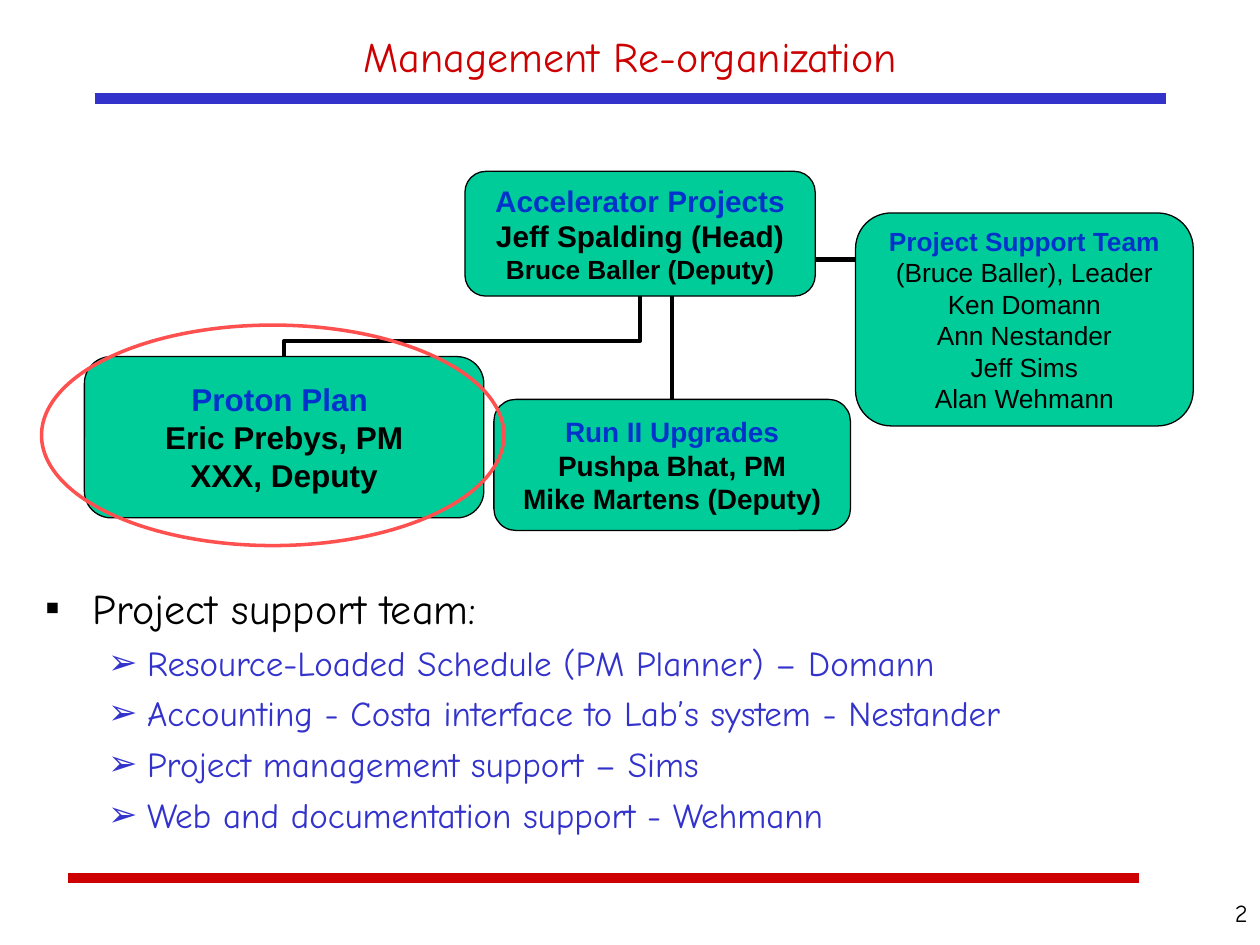
from dataclasses import dataclass

from lxml import etree
from pptx import Presentation
from pptx.dml.color import RGBColor
from pptx.enum import shapes as sh, text as tx
from pptx.oxml import ns
from pptx.util import Inches, Pt


@dataclass(frozen=True)
class Theme:
    red: str = "CC0000"
    blue: str = "3333CC"
    heading: str = "0033CC"
    green: str = "00CC99"
    ring: str = "FF5050"
    black: str = "000000"
    display: str = "Comic Neue"
    body: str = "Arial"
    title: int = 24
    item: int = 20
    number: int = 14


T = Theme()
CENTER, RIGHT = tx.PP_ALIGN.CENTER, tx.PP_ALIGN.RIGHT


def rgb(value):
    return RGBColor.from_string(value)


def sub(parent, tag, **attrs):
    return etree.SubElement(parent, ns.qn(tag), attrs)


def write(p, text, size, color, font=T.display, bold=False, align=None):
    """Fill one paragraph with one formatted run."""
    p.alignment = align
    r = p.add_run()
    r.text = text
    r.font.name, r.font.size, r.font.bold = font, Pt(size), bold
    r.font.color.rgb = rgb(color)


def paragraphs(tf, count):
    """Return the first paragraph followed by as many new ones as needed."""
    return [tf.paragraphs[0]] + [tf.add_paragraph() for _ in range(count - 1)]


def text_box(s, box):
    tf = s.shapes.add_textbox(*map(Inches, box)).text_frame
    tf.word_wrap = True
    return tf


def connector(s, start, end, width, color=T.black, kind=sh.MSO_CONNECTOR.STRAIGHT):
    c = s.shapes.add_connector(kind, *map(Inches, start + end))
    c.line.color.rgb, c.line.width = rgb(color), Pt(width)
    sub(c._element.spPr, "a:effectLst")
    return c


def elbow_up(s, start, end, bend, width):
    """Connector that leaves upward, runs sideways, then goes up to its end."""
    (x1, y1), (x2, y2) = start, end
    mx, my = (x1 + x2) / 2, (y1 + y2) / 2
    hw, hh = (y1 - y2) / 2, (x2 - x1) / 2
    # Drawn sideways, then turned a quarter around its centre
    c = connector(s, (mx + hw, my + hh), (mx - hw, my - hh), width,
                  kind=sh.MSO_CONNECTOR.ELBOW)
    spPr = c._element.spPr
    spPr.find(ns.qn("a:xfrm")).set("rot", str(90 * 60000))
    geom = spPr.find(ns.qn("a:prstGeom"))
    guides = geom.find(ns.qn("a:avLst"))
    if guides is None:
        guides = sub(geom, "a:avLst")
    sub(guides, "a:gd", name="adj1", fmla=f"val {round(bend * 100000)}")


def outline_shape(s, kind, box, line, width):
    shape = s.shapes.add_shape(kind, *map(Inches, box))
    shape.shadow.inherit = False
    shape.line.color.rgb, shape.line.width = rgb(line), Pt(width)
    shape.fill.background()
    return shape


def org_box(s, box, lines, sizes, bold=True):
    """Rounded box with a blue heading over black names."""
    shape = outline_shape(s, sh.MSO_SHAPE.ROUNDED_RECTANGLE, box, T.black, 0.75)
    shape.fill.solid()
    shape.fill.fore_color.rgb = rgb(T.green)
    tf = shape.text_frame
    tf.word_wrap = False
    tf.vertical_anchor = tx.MSO_ANCHOR.MIDDLE
    tf.margin_left = tf.margin_right = Inches(0.08)
    tf.margin_top = tf.margin_bottom = Inches(0.04)
    for i, p in enumerate(paragraphs(tf, len(lines))):
        write(p, lines[i], sizes[i], T.black if i else T.heading, T.body,
              bold or i == 0, CENTER)
    return shape


def frame(s, box):
    """Title, the two rules and the page number."""
    x, y, w, h = box
    rule = 8.5
    for dx, dy, color in ((0.54, 6.97, T.red), (0.75, 0.78, T.blue)):
        connector(s, (x + dx, y + dy), (x + dx + rule, y + dy), 6, color)
    tf = text_box(s, (x + 0.75, y + 0.15, rule, 0.58))
    tf.vertical_anchor = tx.MSO_ANCHOR.MIDDLE
    write(tf.paragraphs[0], "Management Re-organization", T.title, T.red, align=CENTER)
    tf = text_box(s, (x + w - 0.92, y + h - 0.42, 0.92, 0.42))
    write(tf.paragraphs[0], "2", T.number, T.black, align=RIGHT)


def org_chart(s, box):
    """Four boxes, the lines between them and the ring around the plan."""
    x, y = box[:2]
    head = (x + 3.02, y, 2.78, 0.99)
    plan = (x, y + 1.47, 3.17, 1.28)
    run = (x + 3.25, y + 1.81, 2.83, 1.04)
    support = (x + 6.12, y + 0.33, 2.68, 1.69)

    def top(b):
        return b[0] + b[2] / 2, b[1]

    head_bottom = head[1] + head[3]

    # Lines lie behind the boxes
    run_line = connector(s, top(run), (top(run)[0], head_bottom), 2.25)
    elbow_up(s, top(plan), (top(head)[0], head_bottom), 0.26, 2.25)

    org_box(s, head, ["Accelerator Projects", "Jeff Spalding (Head)",
                      "Bruce Baller (Deputy)"], [17, 17, 15])
    org_box(s, plan, ["Proton Plan ", "Eric Prebys, PM", "XXX, Deputy"], [18] * 3)
    run_box = org_box(s, run, ["Run II Upgrades", "Pushpa Bhat, PM",
                               "Mike Martens (Deputy)"], [16] * 3)
    run_line.begin_connect(run_box, 0)
    org_box(s, support, ["Project Support Team", "(Bruce Baller), Leader",
                         "Ken Domann", "Ann Nestander", "Jeff Sims",
                         "Alan Wehmann"], [15] * 6, bold=False)
    connector(s, (head[0] + head[2], y + 0.7), (support[0], y + 0.7), 3)


def bullet_list(s, box):
    """Support team duties: one heading and its sub-items."""
    items = ["Project support team:",
             "Resource-Loaded Schedule (PM Planner) – Domann",
             "Accounting - Costa interface to Lab’s system - Nestander",
             "Project management support – Sims",
             "Web and documentation support - Wehmann"]
    heading = ("▪", T.black, T.title, 0.38, 0.38)
    item = ("➢", T.blue, T.item, 0.81, 0.31)
    tf = text_box(s, box)
    for i, p in enumerate(paragraphs(tf, len(items))):
        char, color, size, left, hang = item if i else heading
        pPr = p._p.get_or_add_pPr()
        pPr.set("marL", str(Inches(left)))
        pPr.set("indent", str(-Inches(hang)))
        sub(sub(pPr, "a:buClr"), "a:srgbClr", val=color)
        sub(pPr, "a:buFont", typeface=T.body)
        sub(pPr, "a:buChar", char=char)
        if i:
            p.level = 1
            p.space_before = Pt(5)
        write(p, items[i], size, color)


def main():
    prs = Presentation()
    prs.slide_width, prs.slide_height = Inches(10), Inches(7.5)
    s = prs.slides.add_slide(prs.slide_layouts[6])
    frame(s, (0, 0, 10, 7.5))
    org_chart(s, (0.67, 1.36, 8.8, 2.85))
    bullet_list(s, (0.26, 4.57, 9.7, 2.19))
    # Ring that marks the Proton Plan
    outline_shape(s, sh.MSO_SHAPE.OVAL, (0.33, 2.58, 3.67, 1.75), T.ring, 2)
    prs.save("out.pptx")


if __name__ == "__main__":
    main()
